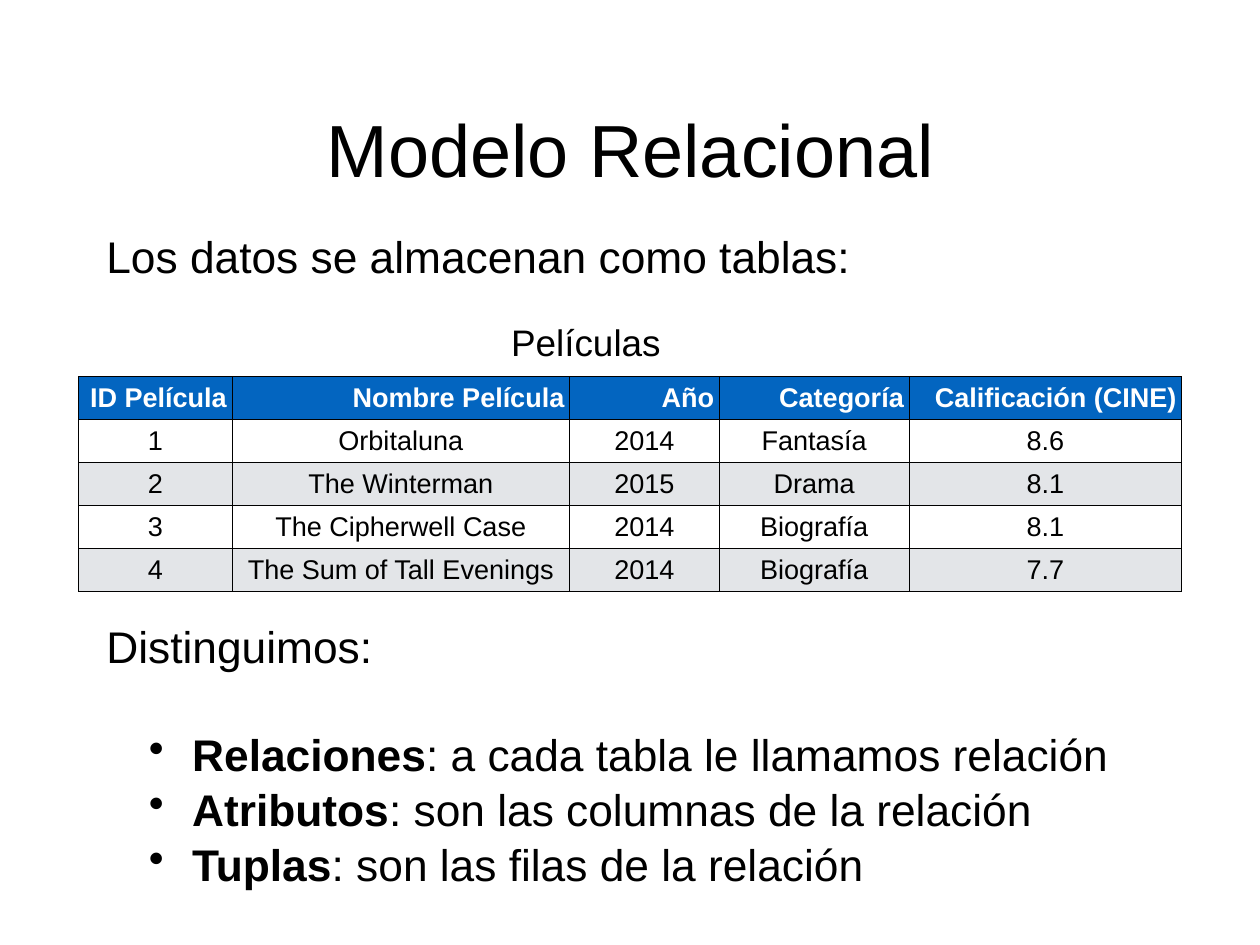
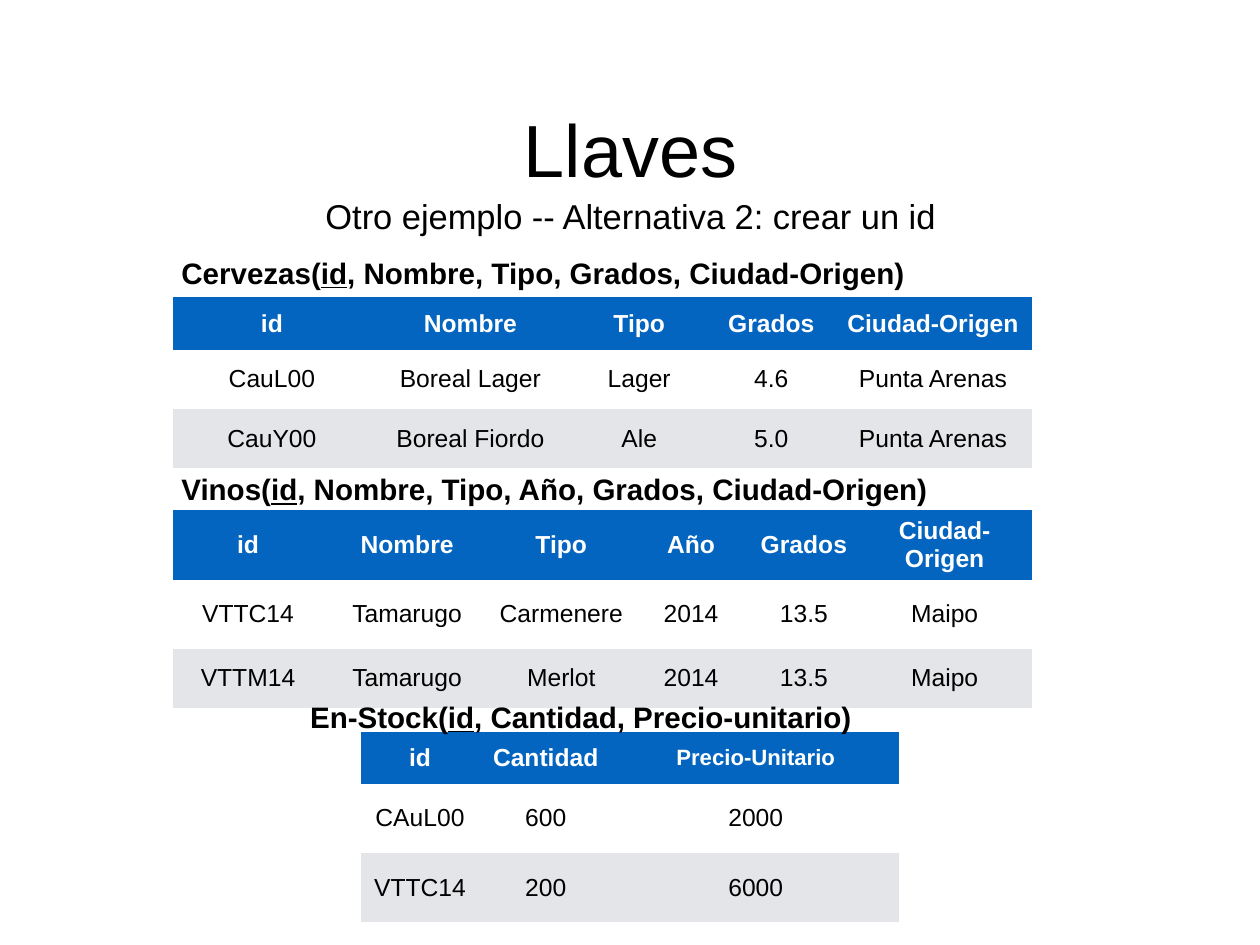
"""Two slides on the relational model: relations as tables, and keys."""
import pptx
import pptx.dml.color
import pptx.enum.text
import pptx.oxml
import pptx.oxml.ns
import pptx.util
from pptx.util import Cm, Pt

ALIGN = pptx.enum.text.PP_ALIGN
ANCHOR = pptx.enum.text.MSO_ANCHOR
FONT = "Arial"
BLACK, WHITE, BLUE, GREY = "000000", "FFFFFF", "0365C0", "E3E5E8"
INSET = 0.15
TITLE_BOX = (9.14, 2.82, 17.86, 2.82)
PLAIN_TABLE = "{2D5ABB26-0587-4C30-8999-92F81FD0307C}"

TERMS = [
    ("Relaciones", ": a cada tabla le llamamos relación"),
    ("Atributos", ": son las columnas de la relación"),
    ("Tuplas", ": son las filas de la relación"),
]

MOVIES = {
    "at": (2.26, 10.8), "size": 22, "header_align": ALIGN.RIGHT, "border": True,
    "columns": [4.39, 9.68, 4.29, 5.44, 7.82], "heights": [1.09] * 5,
    "rows": [
        ("ID Película", "Nombre Película", "Año", "Categoría", "Calificación (CINE)"),
        ("1", "Orbitaluna", "2014", "Fantasía", "8.6"),
        ("2", "The Winterman", "2015", "Drama", "8.1"),
        ("3", "The Cipherwell Case", "2014", "Biografía", "8.1"),
        ("4", "The Sum of Tall Evenings", "2014", "Biografía", "7.7"),
    ],
}

KEY_TABLES = [
    {
        "name": "Cervezas", "fields": "Nombre, Tipo, Grados, Ciudad-Origen",
        "caption": (4.95, 7.06, 24.64, 2.39), "at": (4.95, 8.53),
        "columns": [5.69, 5.69, 3.99, 3.58, 5.69], "heights": [1.5, 1.7, 1.7],
        "rows": [
            ("id", "Nombre", "Tipo", "Grados", "Ciudad-Origen"),
            ("CauL00", "Boreal Lager", "Lager", "4.6", "Punta Arenas"),
            ("CauY00", "Boreal Fiordo", "Ale", "5.0", "Punta Arenas"),
        ],
    },
    {
        "name": "Vinos", "fields": "Nombre, Tipo, Año, Grados, Ciudad-Origen",
        "caption": (4.95, 13.26, 26.24, 2.39), "at": (4.95, 14.63),
        "columns": [4.32, 4.8, 4.04, 3.4, 3.07, 5], "heights": [1.5, 1.98, 1.7],
        "rows": [
            ("id", "Nombre", "Tipo", "Año", "Grados", "Ciudad-Origen"),
            ("VTTC14", "Tamarugo", "Carmenere", "2014", "13.5", "Maipo"),
            ("VTTM14", "Tamarugo", "Merlot", "2014", "13.5", "Maipo"),
        ],
    },
    {
        "name": "En-Stock", "fields": "Cantidad, Precio-unitario",
        "caption": (8.64, 19.79, 18.85, 2.39), "at": (10.34, 20.98),
        "columns": [3.4, 3.81, 8.23], "heights": [1.5, 1.98, 1.98],
        "sizes": {"Precio-Unitario": 18},
        "rows": [
            ("id", "Cantidad", "Precio-Unitario"),
            ("CAuL00", "600", "2000"),
            ("VTTC14", "200", "6000"),
        ],
    },
]


def color(value):
    return pptx.dml.color.RGBColor.from_string(value)


def style(para, size, tint=BLACK, bold=None, align=ALIGN.LEFT):
    para.alignment = align
    para.font.name = FONT
    para.font.size = Pt(size)
    para.font.color.rgb = color(tint)
    para.font.bold = bold


def set_insets(target, inset):
    target.margin_left = target.margin_right = Cm(inset)
    target.margin_top = target.margin_bottom = Cm(inset)


def add_box(page, place, anchor=ANCHOR.MIDDLE, inset=INSET):
    frame = page.shapes.add_textbox(*map(Cm, place)).text_frame
    frame.word_wrap = True
    frame.vertical_anchor = anchor
    set_insets(frame, inset)
    return frame


def add_line(page, place, text, size, align=ALIGN.LEFT):
    para = add_box(page, place).paragraphs[0]
    para.text = text
    style(para, size, align=align)
    return para


def add_page(deck, title):
    page = deck.slides.add_slide(deck.slide_layouts[6])
    add_line(page, TITLE_BOX, title, 60, ALIGN.CENTER)
    return page


def add_borders(cell):
    properties = cell._tc.get_or_add_tcPr()
    for side in "LRTB":
        properties.append(pptx.oxml.parse_xml(
            f'<a:ln{side} {pptx.oxml.ns.nsdecls("a")} w="9525"><a:solidFill>'
            f'<a:srgbClr val="{BLACK}"/></a:solidFill></a:ln{side}>'))


def add_table(page, data):
    rows, columns, heights = data["rows"], data["columns"], data["heights"]
    place = (*data["at"], sum(columns), sum(heights))
    table = page.shapes.add_table(len(rows), len(columns), *map(Cm, place)).table
    table.first_row = table.horz_banding = False
    table._tbl.tblPr.find(pptx.oxml.ns.qn("a:tableStyleId")).text = PLAIN_TABLE
    for column, width in zip(table.columns, columns):
        column.width = Cm(width)
    for i, (row, height, texts) in enumerate(zip(table.rows, heights, rows)):
        row.height = Cm(height)
        header = i == 0
        fill = BLUE if header else (GREY, WHITE)[i % 2]
        align = data.get("header_align", ALIGN.CENTER) if header else ALIGN.CENTER
        for cell, text in zip(row.cells, texts):
            if data.get("border"):
                add_borders(cell)
            cell.fill.solid()
            cell.fill.fore_color.rgb = color(fill)
            cell.vertical_anchor = ANCHOR.MIDDLE
            set_insets(cell, INSET)
            cell.text = text
            size = data.get("sizes", {}).get(text, data.get("size", 20))
            style(cell.text_frame.paragraphs[0], size, WHITE if header else BLACK, header, align)


def add_caption(page, data):
    para = add_box(page, data["caption"], ANCHOR.TOP, 0.25).paragraphs[0]
    style(para, 24, bold=True)
    for text in (data["name"] + "(", "id", f", {data['fields']})"):
        span = para.add_run()
        span.text = text
        span.font.underline = text == "id"


def add_terms(page):
    frame = add_box(page, (2.9, 17.63, 30.3, 7.98))
    lead = frame.paragraphs[0]
    lead.text = "Distinguimos:"
    style(lead, 36)
    lead.line_spacing = 1.04
    lead.space_after = Pt(43)
    for term, meaning in TERMS:
        para = frame.add_paragraph()
        style(para, 36)
        para.level = 1
        para.line_spacing = 1.04
        for text, bold in ((term, True), (meaning, False)):
            span = para.add_run()
            span.text = text
            span.font.bold = bold
        properties = para._p.get_or_add_pPr()
        properties.set("marL", str(Cm(2.46)))
        properties.set("indent", str(-Cm(1.24)))
        bullet = pptx.oxml.parse_xml(f'<a:buChar {pptx.oxml.ns.nsdecls("a")} char="•"/>')
        properties.find(pptx.oxml.ns.qn("a:defRPr")).addprevious(bullet)


def main():
    deck = pptx.Presentation()
    deck.slide_width, deck.slide_height = Cm(36.12), Cm(27.1)

    page = add_page(deck, "Modelo Relacional")
    add_line(page, (2.9, 6.43, 30.3, 1.8), "Los datos se almacenan como tablas:", 36)
    add_table(page, MOVIES)
    add_terms(page)
    add_line(page, (14.5, 9.04, 7.11, 1.52), "Películas", 30)

    page = add_page(deck, "Llaves")
    add_line(page, (5.92, 5.46, 24.31, 1.47),
             "Otro ejemplo -- Alternativa 2: crear un id", 28, ALIGN.CENTER)
    for data in KEY_TABLES:
        add_table(page, data)
    for data in KEY_TABLES:
        add_caption(page, data)

    deck.save("out.pptx")


if __name__ == "__main__":
    main()
